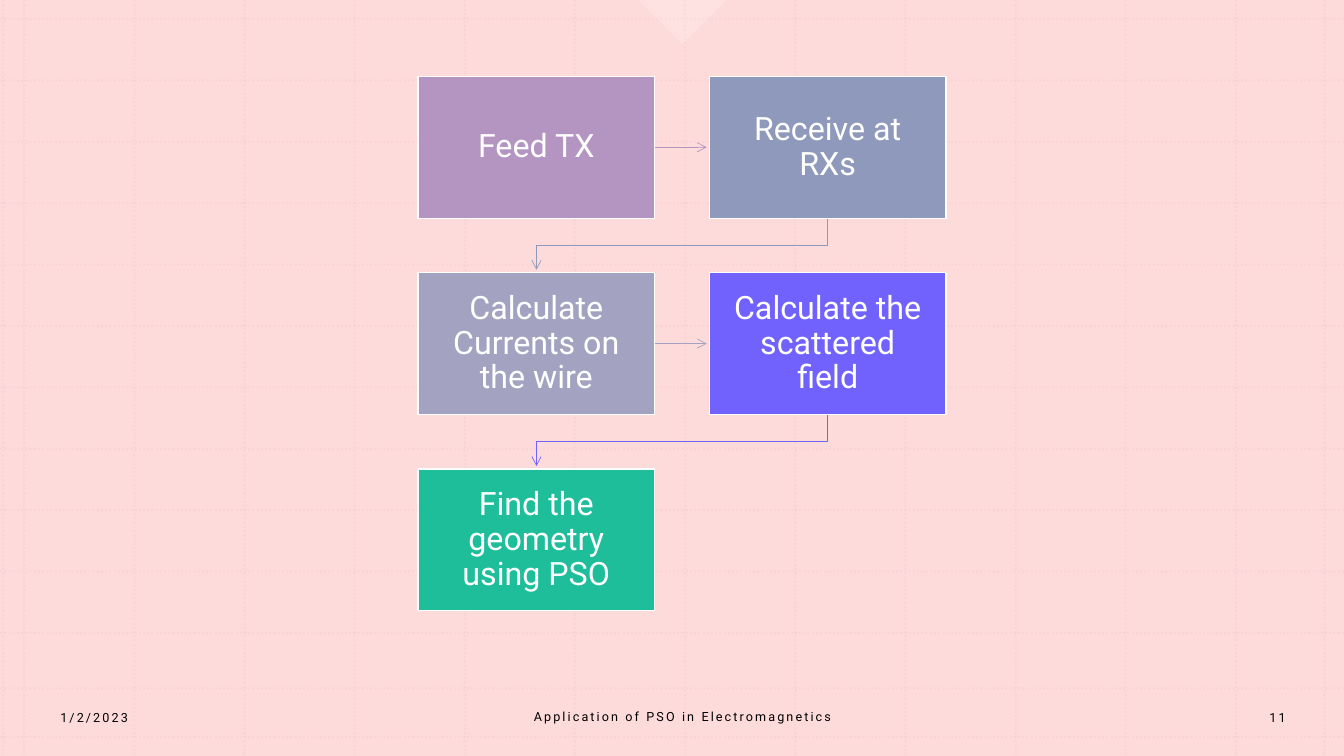
from dataclasses import dataclass

from pptx import Presentation
from pptx.dml.color import RGBColor
from pptx.enum.dml import MSO_LINE
from pptx.enum.shapes import MSO_CONNECTOR, MSO_SHAPE
from pptx.enum.text import MSO_ANCHOR, PP_ALIGN
from pptx.oxml.ns import qn
from pptx.util import Pt
from lxml import etree

STRAIGHT = MSO_CONNECTOR.STRAIGHT
RECTANGLE, RIGHT_TRIANGLE = MSO_SHAPE.RECTANGLE, MSO_SHAPE.RIGHT_TRIANGLE
DOTTED = MSO_LINE.ROUND_DOT
MIDDLE = MSO_ANCHOR.MIDDLE
LEFT, CENTER = PP_ALIGN.LEFT, PP_ALIGN.CENTER

SLIDE_W, SLIDE_H = 960, 540
STEP_LEFT, STEP_TOP, STEP_W, STEP_H = 298.7, 54.5, 169, 101.4
PITCH_X, PITCH_Y = 208.1, 140.2
ARROW_GAP = 2
COLUMNS = 2


@dataclass(frozen=True)
class Theme:
    font: str = "Roboto"
    step_size: float = 23
    footer_size: float = 9
    ink: str = "000000"
    white: str = "FFFFFF"
    grid: str = "B495C2"
    tint: str = "FECFCF"
    steps: tuple = ("B495C2", "8F99BB", "A3A3C1", "7162FE", "1EBE9B")


def set_alpha(fill_parent, percent):
    color = next(fill_parent.iter(qn("a:srgbClr")))
    etree.SubElement(color, qn("a:alpha"), val=str(percent * 1000))


def write_text(frame, text, *, font, size, color, align=CENTER, inset=(7.2, 3.6),
               line_spacing=None, tracking=None):
    frame.word_wrap = True
    frame.vertical_anchor = MIDDLE
    frame.margin_left = frame.margin_right = Pt(inset[0])
    frame.margin_top = frame.margin_bottom = Pt(inset[1])
    paragraph = frame.paragraphs[0]
    paragraph.alignment = align
    if line_spacing:
        paragraph.line_spacing = line_spacing
    run = paragraph.add_run()
    run.text = text
    run.font.name = font
    run.font.size = Pt(size)
    run.font.color.rgb = RGBColor.from_string(color)
    if tracking:
        run.font._element.set("spc", str(round(tracking * 100)))


class FlowSlide:
    """Draws the parts of a process slide in one theme."""

    def __init__(self, slide, theme):
        self.shapes = slide.shapes
        self.theme = theme

    def stroke(self, item, color, width):
        item.line.color.rgb = RGBColor.from_string(color)
        item.line.width = Pt(width)
        return item.element.spPr.find(qn("a:ln"))

    def line(self, start, end, color, width):
        connector = self.shapes.add_connector(STRAIGHT, *map(Pt, start + end))
        outline = self.stroke(connector, color, width)
        etree.SubElement(connector.element.spPr, qn("a:effectLst"))
        return connector, outline

    def grid_line(self, start, end):
        connector, outline = self.line(start, end, self.theme.grid, 1.5)
        connector.line.dash_style = DOTTED
        set_alpha(outline, 25)

    def arrow(self, points, color):
        if len(points) == 2:
            outline = self.line(*points, color, 0.5)[1]
        else:
            corners = [tuple(map(Pt, point)) for point in points]
            builder = self.shapes.build_freeform(*corners[0])
            builder.add_line_segments(corners[1:], close=False)
            elbow = builder.convert_to_shape()
            elbow.shadow.inherit = False
            elbow.fill.background()
            outline = self.stroke(elbow, color, 0.5)
        etree.SubElement(outline, qn("a:tailEnd"), type="arrow")

    def block(self, kind, box, color, alpha=None):
        block = self.shapes.add_shape(kind, *map(Pt, box))
        block.shadow.inherit = False
        block.fill.solid()
        block.fill.fore_color.rgb = RGBColor.from_string(color)
        block.line.fill.background()
        if alpha:
            set_alpha(block.element.spPr, alpha)
        return block

    def step(self, left, top, text, color):
        step = self.block(RECTANGLE, (left, top, STEP_W, STEP_H), color)
        self.stroke(step, self.theme.white, 1)
        write_text(step.text_frame, text, font=self.theme.font, size=self.theme.step_size,
                   color=self.theme.white, inset=(12.9, 12.9), line_spacing=0.9)

    def footer(self, box, text, align=CENTER):
        footer = self.shapes.add_textbox(*map(Pt, box))
        write_text(footer.text_frame, text, font=self.theme.font,
                   size=self.theme.footer_size, color=self.theme.ink,
                   align=align, tracking=1.5)


def draw_background(page):
    for x in [2.2, *(17.3 + 78.68 * i for i in range(12)), 946.1]:
        page.grid_line((x, 0), (x, SLIDE_H))
    for y in [*(13.7 + 43.84 * i for i in range(11)), 491.8, 526.3]:
        page.grid_line((0, y), (SLIDE_W, y))
    page.block(RECTANGLE, (0, 0, SLIDE_W, SLIDE_H), page.theme.tint, alpha=74)
    notch = page.block(RIGHT_TRIANGLE, (465.1, -22.3, 44.6, 44.6), page.theme.white, alpha=17)
    notch.rotation = 315


def draw_process(page, labels):
    places = [(STEP_LEFT + i % COLUMNS * PITCH_X, STEP_TOP + i // COLUMNS * PITCH_Y)
              for i in range(len(labels))]
    for (left, top), (next_left, next_top), color in zip(places, places[1:], page.theme.steps):
        if top == next_top:
            middle = top + STEP_H / 2
            route = [(left + STEP_W, middle), (next_left - ARROW_GAP, middle)]
        else:
            center, next_center = left + STEP_W / 2, next_left + STEP_W / 2
            turn = (top + STEP_H + next_top) / 2
            route = [(center, top + STEP_H), (center, turn),
                     (next_center, turn), (next_center, next_top - ARROW_GAP)]
        page.arrow(route, color)
    for place, label, color in zip(places, labels, page.theme.steps):
        page.step(*place, label, color)


def main():
    deck = Presentation()
    deck.slide_width, deck.slide_height = Pt(SLIDE_W), Pt(SLIDE_H)
    page = FlowSlide(deck.slides.add_slide(deck.slide_layouts[6]), Theme())
    draw_background(page)
    page.footer((36, 498.2, 201.6, 28.8), "1/2/2023", align=LEFT)
    page.footer((330.5, 497.5, 313.9, 28.8), "Application of PSO in Electromagnetics")
    page.footer((881.3, 498.2, 62.6, 28.8), "11")
    draw_process(page, ["Feed TX", "Receive at RXs", "Calculate Currents on the wire",
                        "Calculate the scattered field", "Find the geometry using PSO"])
    deck.save("out.pptx")


if __name__ == "__main__":
    main()
